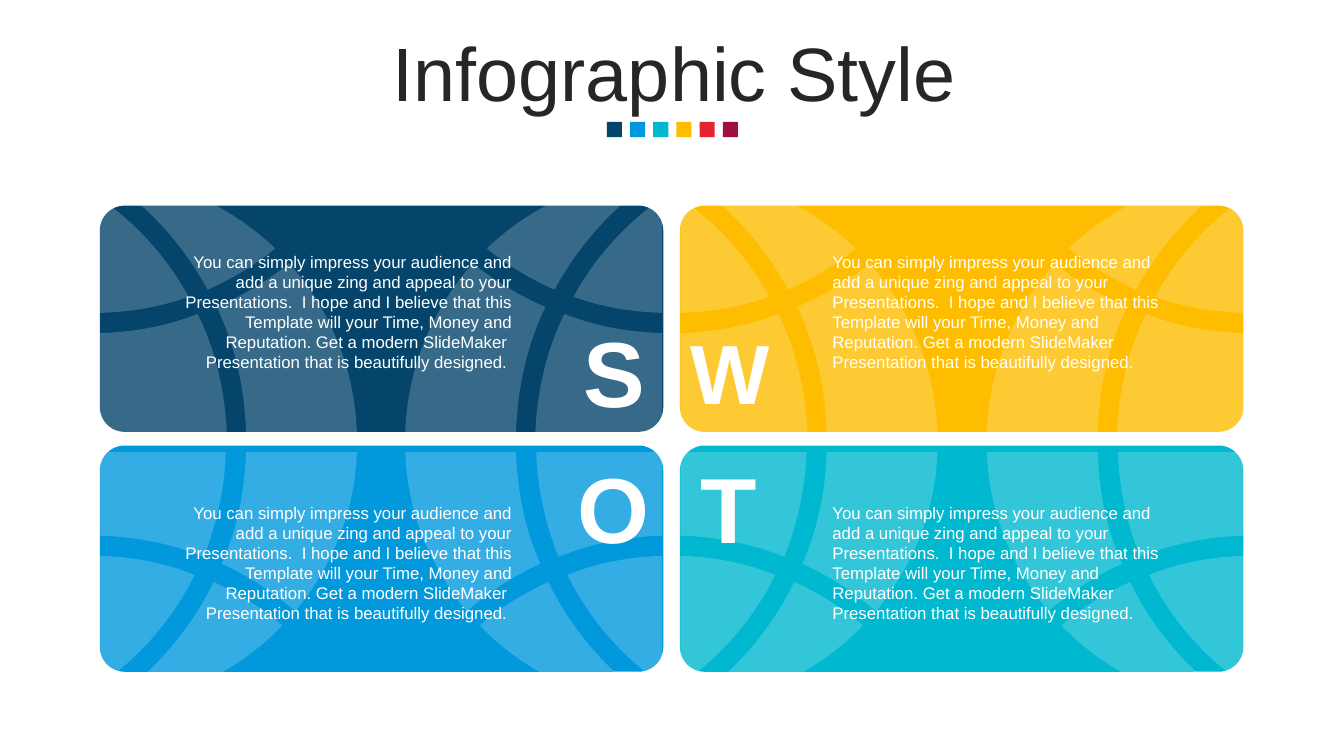
"""Build a SWOT slide of four cards crossed by three pale globes."""
from dataclasses import dataclass
from typing import Optional

from lxml.etree import SubElement
from pptx import Presentation
from pptx.dml.color import RGBColor as Rgb
from pptx.enum.shapes import MSO_SHAPE as Kind
from pptx.enum.text import MSO_ANCHOR as Anchor, MSO_AUTO_SIZE as Fit, PP_ALIGN as Align
from pptx.oxml.ns import qn
from pptx.util import Inches, Pt

COLS, ROWS = 133.33, 75
CELL = Inches(0.1)


@dataclass(frozen=True)
class Theme:
    font: str = "Arial"
    ink: str = "262626"
    white: str = "FFFFFF"
    navy: str = "05456B"
    blue: str = "0199DC"
    teal: str = "00B8D0"
    gold: str = "FEBD00"
    red: str = "E7222F"
    wine: str = "A10E42"
    title: int = 54
    body: int = 12
    mark: int = 66
    small: int = 60


@dataclass(frozen=True)
class Box:
    col: float
    row: float
    wide: float
    high: float

    def emu(self) -> tuple[int, ...]:
        return tuple(round(n * CELL) for n in (self.col, self.row, self.wide, self.high))


@dataclass(frozen=True)
class Card:
    mark: str
    fill: str
    col: int
    row: int
    size: int


@dataclass(frozen=True)
class Half:
    edge: float
    sign: int

    def place(self, x: float, y: float) -> tuple[int, int]:
        return round((self.edge + self.sign * x) * CELL), round((GLOBE_TOP + y) * CELL)


LOOK = Theme()
CARDS = (
    Card("S", LOOK.navy, 0, 0, LOOK.mark),
    Card("W", LOOK.gold, 1, 0, LOOK.small),
    Card("O", LOOK.blue, 0, 1, LOOK.mark),
    Card("T", LOOK.teal, 1, 1, LOOK.mark),
)
DOTS = (LOOK.navy, LOOK.blue, LOOK.teal, LOOK.gold, LOOK.red, LOOK.wine)
BLURB = ("You can simply impress your audience and add a unique zing and appeal to your "
         "Presentations.  I hope and I believe that this Template will your Time, Money and "
         "Reputation. Get a modern SlideMaker  Presentation that is beautifully designed.")

GLOBES = (
    (Half(40.2, 1), Half(93, -1)),
    (Half(97.9, 1),),
    (Half(35.4, -1),),
)
GLOBE_TOP = 17.45
PATCHES = (
    ((14.2, 40.3), (16.6, 45.2, 20.2, 49.3, 24.6, 52.3), (24.5, 52.4, 24.3, 52.5, 24.1, 52.6),
     (17.6, 52, 11.7, 49.1, 7.4, 44.6), (9.4, 42.9, 11.7, 41.4, 14.2, 40.3)),
    ((25.5, 37.7), (25.5, 50.5), (21.5, 47.7, 18.2, 43.9, 16.1, 39.6),
     (19, 38.4, 22.2, 37.8, 25.5, 37.7)),
    ((13, 27.4), (25.5, 27.4), (25.5, 35.7), (21.9, 35.8, 18.4, 36.5, 15.2, 37.8),
     (13.9, 34.5, 13.1, 31, 13, 27.4)),
    ((0, 27.4), (11, 27.4), (11.1, 31.3, 11.9, 35.1, 13.4, 38.5),
     (10.7, 39.7, 8.3, 41.3, 6.1, 43.2), (2.5, 38.8, 0.2, 33.4, 0, 27.4)),
    ((15.8, 13.7), (18.8, 14.9, 22.1, 15.5, 25.5, 15.6), (25.5, 25.5), (12.9, 25.5),
     (13.1, 21.3, 14, 17.3, 15.8, 13.7)),
    ((6.7, 8.7), (8.9, 10.4, 11.3, 11.9, 13.9, 13), (12.1, 16.8, 11.1, 21.1, 11, 25.5),
     (0, 25.5), (0.2, 19.1, 2.7, 13.2, 6.7, 8.7)),
    ((25.5, 2.2), (25.5, 13.6), (22.4, 13.5, 19.4, 13, 16.7, 12),
     (18.8, 8.1, 21.9, 4.7, 25.5, 2.2)),
    ((23.8, 0), (24.6, 0.4), (20.5, 3.2, 17.2, 6.9, 14.8, 11.3),
     (12.4, 10.2, 10.1, 8.9, 8.1, 7.2), (12.3, 3.2, 17.7, 0.6, 23.8, 0)),
)


def paint(shape, fill: str, alpha: Optional[int] = None) -> None:
    shape.shadow.inherit = False
    shape.line.fill.background()
    shape.fill.solid()
    shape.fill.fore_color.rgb = Rgb.from_string(fill)
    if alpha is not None:
        tint = shape.fill._xPr.find(qn("a:solidFill"))[0]
        SubElement(tint, qn("a:alpha")).set("val", str(alpha * 1000))


def block(slide, kind: Kind, box: Box, fill: str):
    shape = slide.shapes.add_shape(kind, *box.emu())
    paint(shape, fill)
    return shape


def write(shape, text: str, *, size: int, color: str = LOOK.white, bold: bool = False,
          align: Align = Align.LEFT, anchor: Anchor = Anchor.TOP, lead: float = 1.0) -> None:
    frame = shape.text_frame
    frame.word_wrap = True
    frame.auto_size = Fit.NONE
    frame.vertical_anchor = anchor
    para = frame.paragraphs[0]
    para.alignment, para.line_spacing = align, lead
    run = para.add_run()
    run.text = text
    font = run.font
    font.name, font.size, font.bold = LOOK.font, Pt(size), bold
    font.color.rgb = Rgb.from_string(color)


def trace(patch: tuple, half: Half) -> list[tuple[int, int]]:
    return [half.place(*part[i:i + 2]) for part in patch for i in range(0, len(part), 2)]


def bend(shape, patches: tuple) -> None:
    trail = shape._element.find(".//" + qn("a:path"))
    steps = iter(list(trail))
    for patch in patches:
        next(steps)
        for part in patch[1:]:
            step = next(steps)
            if len(part) == 6:
                step.tag = qn("a:cubicBezTo")
                for spare in (next(steps), next(steps)):
                    step.append(spare[0])
                    trail.remove(spare)
        next(steps)


def globe(slide, halves: tuple[Half, ...]) -> None:
    loops = [trace(patch, half) for half in halves for patch in PATCHES]
    pen = slide.shapes.build_freeform(*loops[0][0], scale=1.0)
    for index, loop in enumerate(loops):
        if index:
            pen.move_to(*loop[0])
        pen.add_line_segments(loop[1:], close=True)
    shape = pen.convert_to_shape()
    bend(shape, PATCHES * len(halves))
    paint(shape, LOOK.white, alpha=20)


def label(slide, card: Card) -> None:
    body = slide.shapes.add_textbox(*Box(17.2 + 64.4 * card.col, 24.45 + 24.9 * card.row,
                                         34.6, 13.1).emu())
    write(body, BLURB if card.col else BLURB + " ", size=LOOK.body,
          align=Align.LEFT if card.col else Align.RIGHT)
    mark = slide.shapes.add_textbox(*Box(56.1 + 11.4 * card.col, 30.7 + 13.5 * card.row,
                                         9.6, 12.1).emu())
    write(mark, card.mark, size=card.size, bold=True, align=Align.CENTER, anchor=Anchor.MIDDLE)


def main() -> None:
    deck = Presentation()
    deck.slide_width, deck.slide_height = round(COLS * CELL), ROWS * CELL
    slide = deck.slides.add_slide(deck.slide_layouts[5])
    title = slide.shapes.title
    title.left, title.top, title.width, title.height = Box(3.6, 3.7, 126.6, 7.9).emu()
    write(title, "Infographic Style", size=LOOK.title, color=LOOK.ink,
          align=Align.CENTER, anchor=Anchor.MIDDLE, lead=0.9)
    for index, fill in enumerate(DOTS):
        block(slide, Kind.RECTANGLE, Box(60.2 + 2.3 * index, 12.1, 1.5, 1.5), fill)
    for card in CARDS:
        box = Box(9.9 + 57.55 * card.col, 20.4 + 23.8 * card.row, 55.9, 22.45)
        block(slide, Kind.ROUNDED_RECTANGLE, box, card.fill).adjustments[0] = 0.11
    for halves in GLOBES:
        globe(slide, halves)
    for card in CARDS:
        label(slide, card)
    deck.save("out.pptx")


if __name__ == "__main__":
    main()
